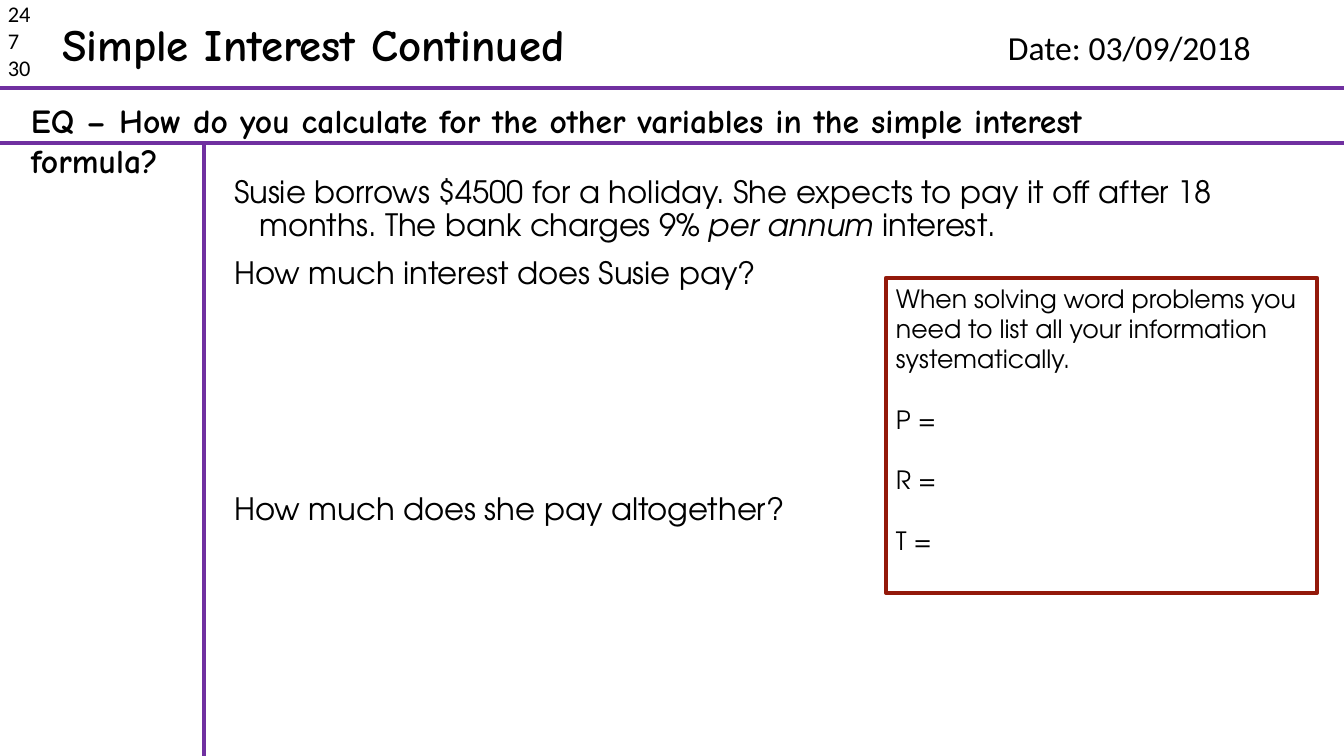
import pptx
import pptx.dml.color
import pptx.enum.shapes
import pptx.enum.text
import pptx.oxml.ns
import pptx.util
from lxml import etree

PX = 12192000 / 1344
SANS, HAND, GOTHIC = "Calibri", "Comic Neue", "TeX Gyre Adventor"
PURPLE, RED, BLACK = "7030A0", "93190A", "000000"


def px(n):
    return pptx.util.Emu(round(n * PX))


def color(hex_string):
    return pptx.dml.color.RGBColor.from_string(hex_string)


def place(sp, x, y, w, h):
    sp.left, sp.top, sp.width, sp.height = px(x), px(y), px(w), px(h)


def set_text(sp, paragraphs, size, font, bold=False, space=0):
    tf = sp.text_frame
    tf.word_wrap = True
    tf.auto_size = pptx.enum.text.MSO_AUTO_SIZE.NONE
    tf.vertical_anchor = pptx.enum.text.MSO_ANCHOR.TOP
    tf.text = "\n".join(paragraphs)
    for i, p in enumerate(tf.paragraphs):
        p.alignment = pptx.enum.text.PP_ALIGN.LEFT
        p.space_before = pptx.util.Pt(space if i else 0)
        for r in p.runs:
            format_run(r, size, font, bold)
    return tf


def format_run(r, size, font, bold=False):
    r.font.size = pptx.util.Pt(size)
    r.font.name = font
    r.font.bold = bold
    r.font.color.rgb = color(BLACK)


def add_text(s, x, y, w, h, paragraphs, size, font, bold=False):
    sp = s.shapes.add_textbox(px(x), px(y), px(w), px(h))
    set_text(sp, paragraphs, size, font, bold)


def add_rule(s, x1, y1, x2, y2):
    line = s.shapes.add_connector(
        pptx.enum.shapes.MSO_CONNECTOR.STRAIGHT, px(x1), px(y1), px(x2), px(y2))
    line.line.color.rgb = color(PURPLE)
    line.line.width = pptx.util.Pt(2.25)
    etree.SubElement(line._element.spPr, pptx.oxml.ns.qn("a:effectLst"))


def add_header(s, x, y, w, h):
    add_rule(s, x, y + h, x + w, y + h)
    title = s.shapes.title
    place(title, x + 52, y + 12, 535, 64)
    set_text(title, ["Simple Interest Continued"], 32, HAND, True)
    add_text(s, x + 998, y + 22, 270, 50, ["Date: 03/09/2018"], 24, SANS)
    add_text(s, x - 2, y - 5, 64, 92, ["24", "7", "30"], 16, SANS)


def add_question_bar(s, x, y, w, h):
    add_rule(s, x, y + h, x + w, y + h)
    question = ("EQ – How do you calculate for the other variables "
                "in the simple interest formula?")
    add_text(s, x + 21, y + 7, 1169, 50, [question], 24, HAND, True)


def add_problem(s, x, y, w, h):
    add_rule(s, x, y, x, y + h)
    body = s.placeholders[1]
    place(body, x + 20, y + 29, 1093, 517)
    tf = set_text(body, [
        "Susie borrows $4500 for a holiday. She expects to pay it off "
        "after 18 months. The bank charges 9% ",
        "How much interest does Susie pay?",
        "How much does she pay altogether?",
    ], 22, GOTHIC)
    for text, italic in (("per annum ", True), ("interest.", False)):
        r = tf.paragraphs[0].add_run()
        r.text = text
        format_run(r, 22, GOTHIC)
        r.font.italic = italic
    for p, space in zip(tf.paragraphs, (0, 10, 145)):
        pPr = p._p.get_or_add_pPr()
        pPr.set("marL", "228600")
        pPr.set("indent", "-228600")
        etree.SubElement(pPr, pptx.oxml.ns.qn("a:buNone"))
        p.line_spacing = 0.9
        p.space_before = pptx.util.Pt(space)


def add_method_box(s, x, y, w, h):
    sp = s.shapes.add_shape(
        pptx.enum.shapes.MSO_SHAPE.RECTANGLE, px(x), px(y), px(w), px(h))
    sp.shadow.inherit = False
    sp.fill.background()
    sp.line.color.rgb = color(RED)
    sp.line.width = pptx.util.Pt(3)
    set_text(sp, [
        "When solving word problems you need to list all your information "
        "systematically.",
        "P =", "R =", "T =",
    ], 18, GOTHIC, space=21.6)


def main():
    prs = pptx.Presentation()
    prs.slide_width, prs.slide_height = px(1344), px(756)
    s = prs.slides.add_slide(prs.slide_layouts[1])
    add_header(s, 0, 0, 1344, 88)
    add_question_bar(s, 0, 88, 1344, 55)
    add_problem(s, 204, 143, 1140, 613)
    add_method_box(s, 886, 278, 431, 315)
    prs.save("out.pptx")


if __name__ == "__main__":
    main()
